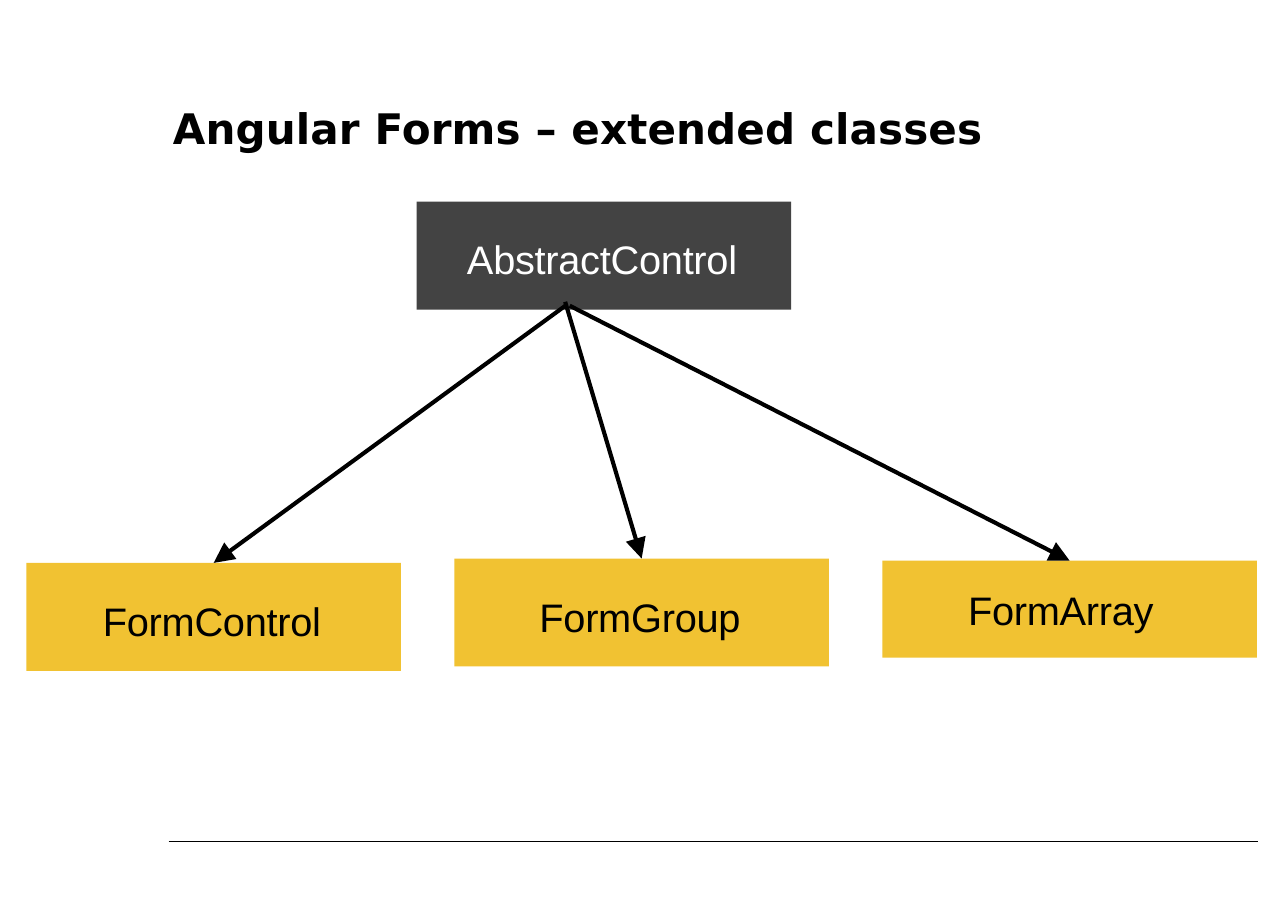
from pptx import Presentation
from pptx.dml.color import RGBColor
from pptx.enum.shapes import MSO_CONNECTOR, MSO_SHAPE
from pptx.enum.text import MSO_ANCHOR, MSO_AUTO_SIZE, PP_ALIGN
from pptx.oxml.ns import qn
from pptx.util import Inches, Pt
from lxml.etree import SubElement

BLACK = RGBColor(0x00, 0x00, 0x00)
WHITE = RGBColor(0xFF, 0xFF, 0xFF)
GRAY = RGBColor(0x43, 0x43, 0x43)
GOLD = RGBColor(0xF1, 0xC2, 0x32)

WIDE = Inches(11.69)
HIGH = Inches(8.27)
LEFT, STEP, SPAN = 2.05, 33.23, 29.08

FORMS = [
    ("FormControl", 61.79, 11.85, (0.03, 0.06), (43.97, 33.49)),
    ("FormGroup", 61.31, 11.85, (0.03, 0.07), (43.88, 33.13)),
    ("FormArray", 61.55, 10.64, (0.16, 0), (44.23, 33.56)),
]


def across(share):
    return round(WIDE * share / 100)


def down(share):
    return round(HIGH * share / 100)


def set_text(shape, text, font, size, color, gap, align, anchor, inset=(0, 0)):
    frame = shape.text_frame
    frame.text = text
    frame.auto_size = MSO_AUTO_SIZE.NONE
    frame.word_wrap = True
    frame.vertical_anchor = anchor
    frame.margin_left = frame.margin_bottom = 0
    frame.margin_right, frame.margin_top = map(Inches, inset)
    line = frame.paragraphs[0]
    line.alignment = align
    run = line.runs[0]
    run.font.name = font
    run.font.size = Pt(size)
    run.font.color.rgb = color
    run._r.get_or_add_rPr().set("spc", str(gap))
    return run


def add_title(slide, text):
    title = slide.shapes.title
    title.left, title.top = across(13.43), down(11.25)
    title.width, title.height = across(67.58), down(5.56)
    run = set_text(title, text, "DejaVu Sans", 27.5, BLACK, 10,
                   PP_ALIGN.LEFT, MSO_ANCHOR.TOP)
    run.font.bold = True


def add_box(slide, text, left, top, high, fill, color, inset):
    box = slide.shapes.add_shape(MSO_SHAPE.RECTANGLE, across(left), down(top),
                                 across(SPAN), down(high))
    box.shadow.inherit = False
    box.fill.solid()
    box.fill.fore_color.rgb = fill
    box.line.fill.background()
    set_text(box, text, "Arial", 26, color, -20,
             PP_ALIGN.CENTER, MSO_ANCHOR.MIDDLE, inset)


def add_line(slide, start, end, width, arrow=False):
    link = slide.shapes.add_connector(
        MSO_CONNECTOR.STRAIGHT, across(start[0]), down(start[1]),
        across(end[0]), down(end[1]))
    link.line.color.rgb = BLACK
    link.line.width = Pt(width)
    if arrow:
        SubElement(link.line._get_or_add_ln(), qn("a:tailEnd"),
                   type="triangle", w="lg", len="lg")
    SubElement(link._element.spPr, qn("a:effectLst"))


def main():
    deck = Presentation()
    deck.slide_width, deck.slide_height = WIDE, HIGH
    slide = deck.slides.add_slide(deck.slide_layouts[5])
    add_line(slide, (13.09, 92.38), (97.69, 92.38), 0.94)
    add_title(slide, "Angular Forms – extended classes")
    add_box(slide, "AbstractControl", 32.34, 22.13, 11.85, GRAY, WHITE, (0.03, 0.06))
    for col, (name, top, high, inset, start) in enumerate(FORMS):
        left = LEFT + col * STEP
        add_box(slide, name, left, top, high, GOLD, BLACK, inset)
        add_line(slide, start, (left + SPAN / 2, top), 2.7, arrow=True)
    deck.save("out.pptx")


if __name__ == "__main__":
    main()
